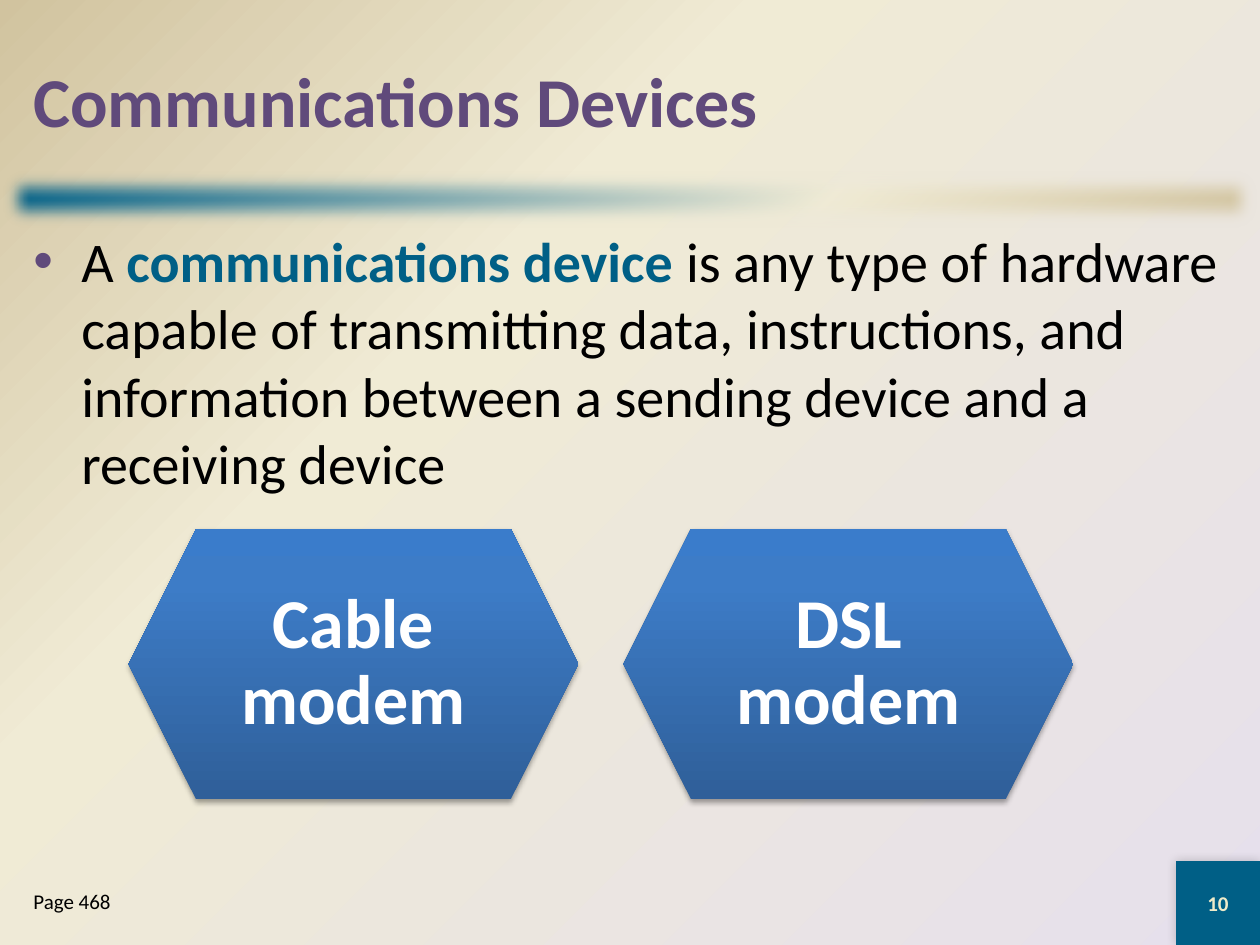
from dataclasses import dataclass

from lxml import etree
from pptx import Presentation
from pptx.dml.color import RGBColor
from pptx.enum.shapes import MSO_SHAPE as Shape
from pptx.enum.text import MSO_ANCHOR as Anchor, PP_ALIGN as Align
from pptx.oxml import parse_xml
from pptx.oxml.ns import nsdecls, qn
from pptx.util import Inches, Pt


@dataclass(frozen=True)
class Theme:
    font: str = "Calibri"
    purple: str = "604A7B"
    teal: str = "005F86"
    black: str = "000000"
    white: str = "FFFFFF"
    ivory: str = "EEEBCA"
    heading: int = 40
    body: int = 32
    small: int = 12
    backdrop: tuple = ((0, "E6E0EC"), (65, "F0EBD5"), (100, "D1C39F"))
    bar: tuple = ((0, "005F86"), (65, "F0EBD5"), (100, "D1C39F"))
    hexagon: tuple = ((0, "2F5F99"), (80, "3D7CC7"), (100, "3A7CCB"))


CORNER_PATH = ('<a:path path="circle"><a:fillToRect l="100000" t="100000"/></a:path>'
               '<a:tileRect r="-100000" b="-100000"/>')


def linear(angle):
    return f'<a:lin ang="{angle * 60000}" scaled="0"/>'


def set_gradient(properties, stops, direction):
    """Replace the solid fill of an element by a gradient."""
    marks = "".join(f'<a:gs pos="{position * 1000}"><a:srgbClr val="{color}"/></a:gs>'
                    for position, color in stops)
    gradient = parse_xml(f'<a:gradFill {nsdecls("a")} rotWithShape="1">'
                         f'<a:gsLst>{marks}</a:gsLst>{direction}</a:gradFill>')
    properties.replace(properties.find(qn("a:solidFill")), gradient)


class SlideBuilder:
    """Places elements on a grid of 60 columns by 45 rows."""

    def __init__(self, presentation, theme):
        self.theme = theme
        self.column = presentation.slide_width / 60
        self.row = presentation.slide_height / 45
        self.slide = presentation.slides.add_slide(presentation.slide_layouts[6])

    def place(self, left, top, width, height):
        return (round(left * self.column), round(top * self.row),
                round(width * self.column), round(height * self.row))

    def background(self, stops, direction):
        self.slide.background.fill.solid()
        properties = self.slide.background._cSld.bg.bgPr
        set_gradient(properties, stops, direction)

    def shape(self, kind, area, color=None, stops=None, angle=0):
        shape = self.slide.shapes.add_shape(kind, *self.place(*area))
        shape.shadow.inherit = False
        shape.fill.solid()
        if stops:
            set_gradient(shape._element.spPr, stops, linear(angle))
        else:
            shape.fill.fore_color.rgb = RGBColor.from_string(color)
        shape.line.fill.background()
        return shape

    def effect(self, shape, name, **values):
        effects = shape._element.spPr.find(qn("a:effectLst"))
        return etree.SubElement(effects, qn(f"a:{name}"),
                                {key: str(value) for key, value in values.items()})

    def shadow(self, shape, opacity, blur, distance, angle):
        shadow = self.effect(shape, "outerShdw", blurRad=Pt(blur), dist=Pt(distance),
                             dir=angle * 60000, rotWithShape=0)
        color = etree.SubElement(shadow, qn("a:srgbClr"), val=self.theme.black)
        etree.SubElement(color, qn("a:alpha"), val=str(opacity * 1000))

    def text_box(self, area, runs, size, **formats):
        box = self.slide.shapes.add_textbox(*self.place(*area))
        self.label(box, runs, size, **formats)
        return box

    def label(self, shape, runs, size, anchor=Anchor.TOP, inset=None, **formats):
        """Fill a shape with one paragraph of (text, color, bold) runs."""
        frame = shape.text_frame
        frame.word_wrap = True
        frame.vertical_anchor = anchor
        if inset is not None:
            for side in ("left", "top", "right", "bottom"):
                setattr(frame, f"margin_{side}", Inches(inset))
        paragraph = frame.paragraphs[0]
        for name, value in formats.items():
            setattr(paragraph, name, value)
        for text, color, bold in runs:
            run = paragraph.add_run()
            run.text = text
            style = {"name": self.theme.font, "size": Pt(size), "bold": bold}
            for name, value in style.items():
                setattr(run.font, name, value)
            run.font.color.rgb = RGBColor.from_string(color)

    def bullet(self, box, color):
        properties = box.text_frame.paragraphs[0]._p.get_or_add_pPr()
        properties.set("marL", str(Inches(0.38)))
        properties.set("indent", str(-Inches(0.38)))
        bullet_color = etree.SubElement(properties, qn("a:buClr"))
        etree.SubElement(bullet_color, qn("a:srgbClr"), val=color)
        etree.SubElement(properties, qn("a:buFont"), typeface="Arial")
        etree.SubElement(properties, qn("a:buChar"), char="•")


def main():
    theme = Theme()
    presentation = Presentation()
    presentation.slide_width, presentation.slide_height = Inches(10), Inches(7.5)
    builder = SlideBuilder(presentation, theme)

    # Background and soft divider bar
    builder.background(theme.backdrop, CORNER_PATH)
    bar = builder.shape(Shape.RECTANGLE, (0, 8, 60, 3), stops=theme.bar, angle=45)
    builder.effect(bar, "softEdge", rad=Pt(10))

    # Slide number in the corner
    corner = builder.shape(Shape.RECTANGLE, (56, 41, 4, 4), color=theme.teal)
    builder.shadow(corner, opacity=20, blur=6, distance=0, angle=225)
    builder.label(corner, [("10", theme.ivory, True)], theme.small,
                  anchor=Anchor.MIDDLE, alignment=Align.CENTER)

    # Title, definition and page reference
    builder.text_box((1, 1, 58, 7.5), [("Communications Devices", theme.purple, True)],
                     theme.heading, anchor=Anchor.MIDDLE)
    definition = builder.text_box((1, 10.5, 58, 30.5), [
        ("A ", theme.black, False),
        ("communications device ", theme.teal, True),
        ("is any type of hardware capable of transmitting data, instructions, and "
         "information between a sending device and a receiving device",
         theme.black, False),
    ], theme.body)
    builder.bullet(definition, theme.purple)
    builder.text_box((1, 42, 11, 3), [("Page 468", theme.black, False)], theme.small)

    # Device hexagons, evenly spaced
    first_left, pitch = 6.12, 23.57
    for index, device in enumerate(("Cable modem", "DSL modem")):
        hexagon = builder.shape(Shape.HEXAGON,
                                (first_left + index * pitch, 25.2, 21.42, 12.85),
                                stops=theme.hexagon, angle=270)
        builder.shadow(hexagon, opacity=35, blur=3.1, distance=1.8, angle=90)
        builder.label(hexagon, [(device, theme.white, True)], theme.heading,
                      anchor=Anchor.MIDDLE, inset=0.17,
                      alignment=Align.CENTER, line_spacing=0.9)

    presentation.save("out.pptx")


if __name__ == "__main__":
    main()
